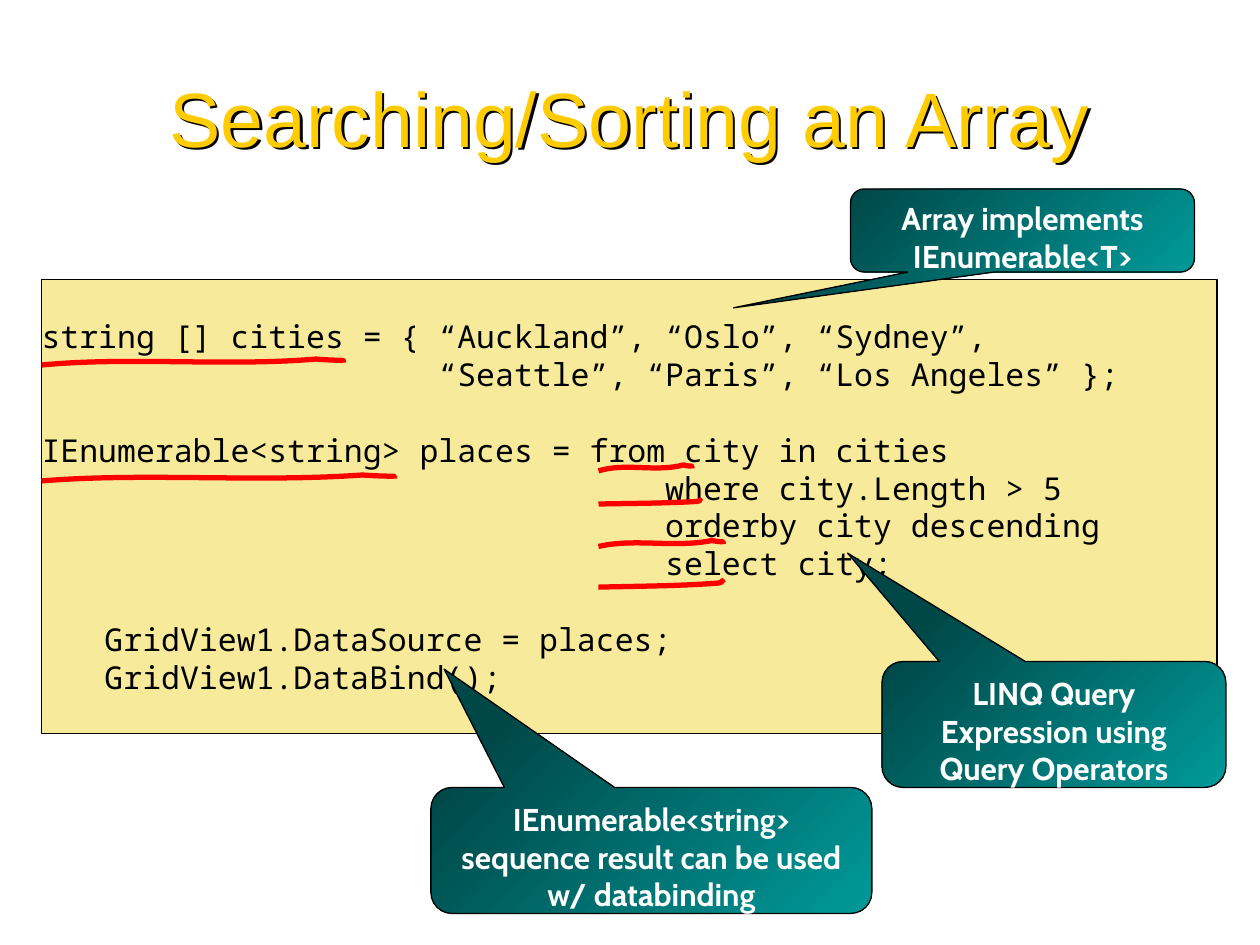
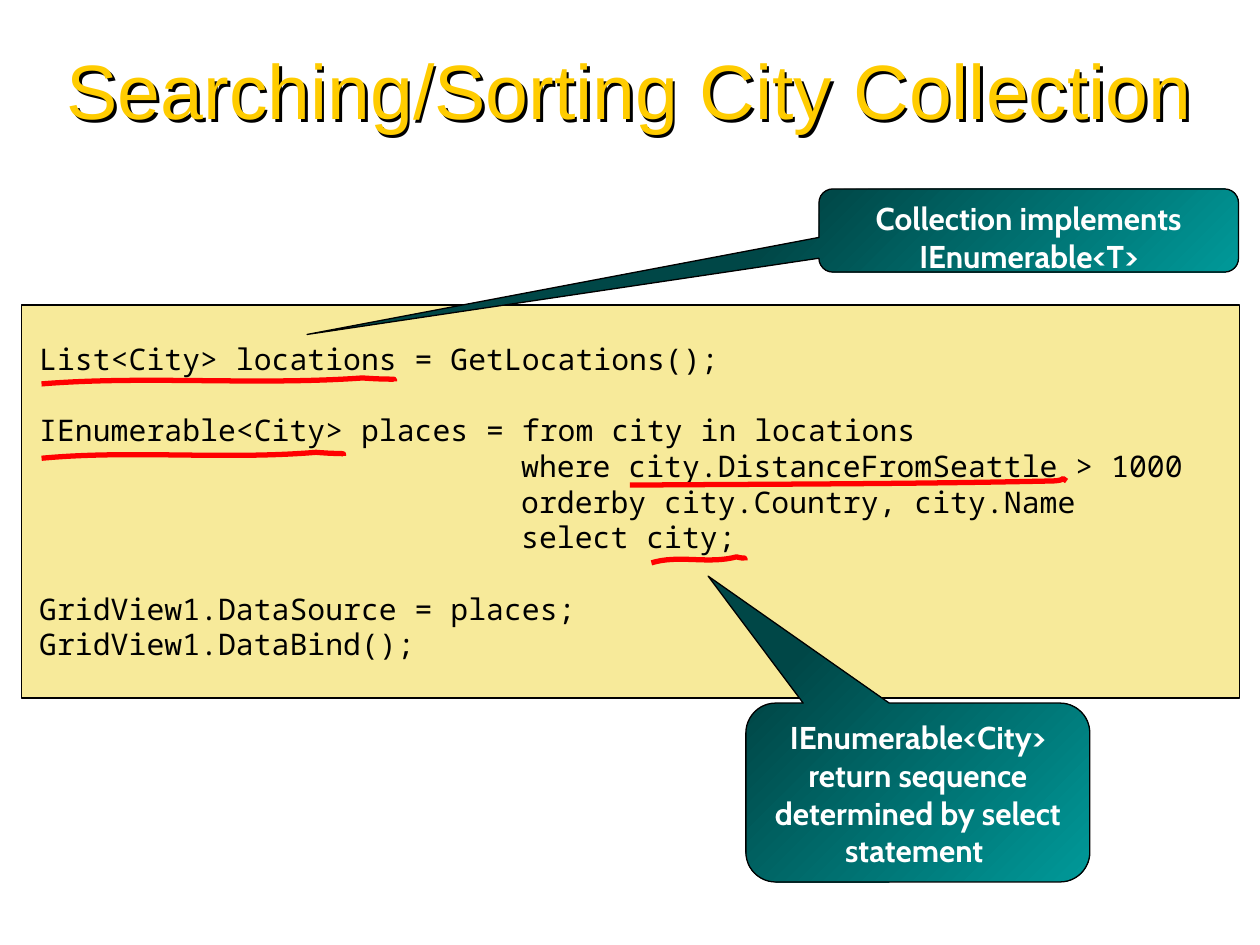
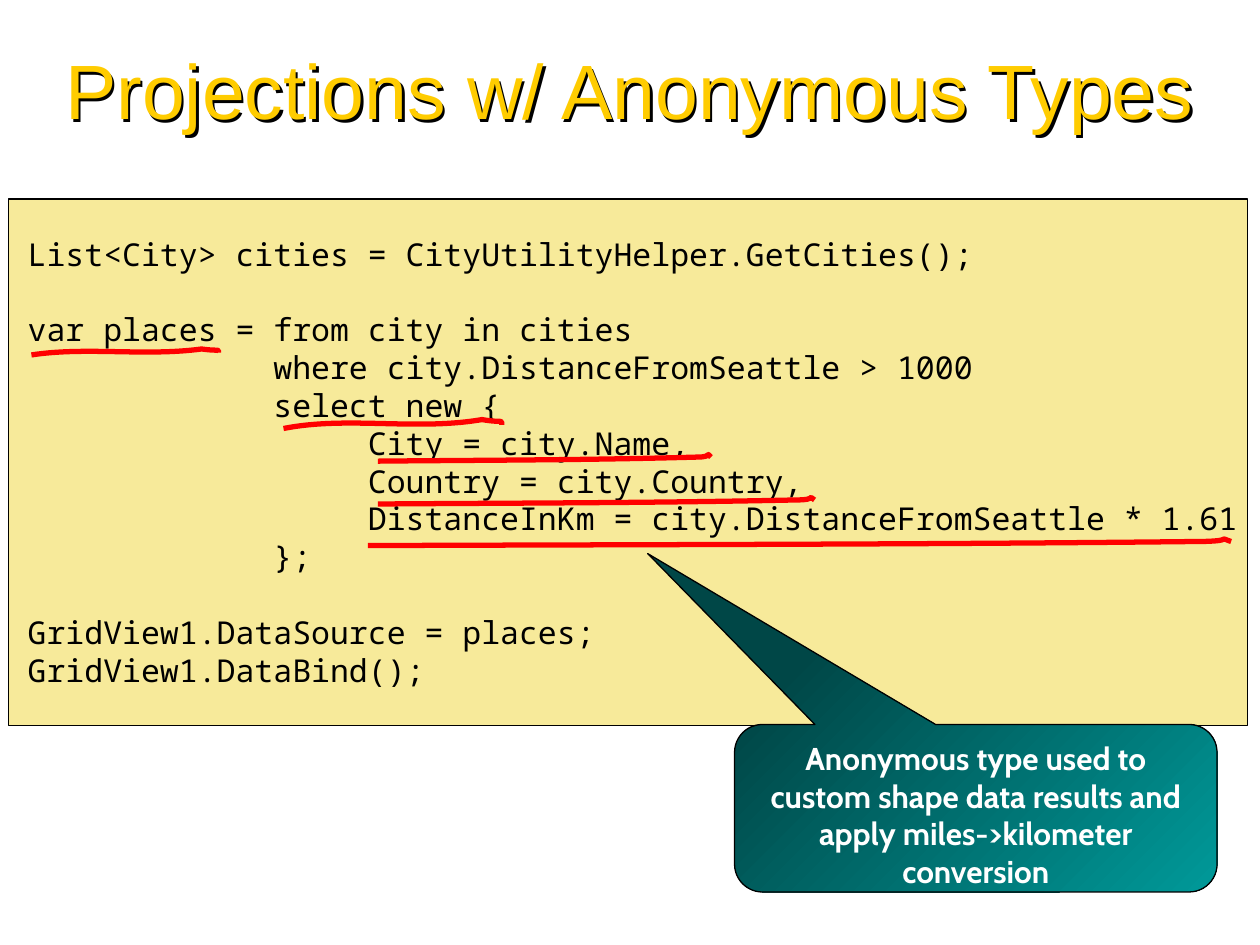
from lxml import etree
from pptx import Presentation
from pptx import util as u
from pptx.dml.color import RGBColor
from pptx.enum import shapes, text
from pptx.oxml import ns

GOLD = RGBColor(0xFF, 0xCC, 0x00)
CREAM = RGBColor(0xF7, 0xE9, 0x93)
DARK_TEAL = RGBColor(0x00, 0x47, 0x47)
TEAL = RGBColor(0x00, 0x99, 0x99)
RED = RGBColor(0xFF, 0x00, 0x00)
BLACK = RGBColor(0x00, 0x00, 0x00)
WHITE = RGBColor(0xFF, 0xFF, 0xFF)

TITLE_FONT, CODE_FONT, CALLOUT_FONT = "Arial", "Noto Sans Mono", "Cabin"
LINE_HEIGHT = 1.2
COLUMN_WIDTH = 0.6

WAVE = [(0, 0.84), (0.29, 0), (0.6, 1), (0.9, 0.25), (1, 0.5), (0.99, 0.2), (0.99, 0.6)]
FLAT = [(0, 1), (0.32, 0.9), (0.63, 0.9), (0.95, 0.6), (1, 0.6), (0.97, 0), (0.99, 0.6)]


def add_span(para, words, font, size, color, bold=False):
    span = para.add_run()
    span.text = words
    span.font.name = font
    span.font.size = u.Pt(size)
    span.font.color.rgb = color
    span.font.bold = bold


def outline(shape, color=BLACK, width=0.75):
    shape.shadow.inherit = False
    shape.line.color.rgb = color
    shape.line.width = u.Pt(width)


def add_text_shadow(box):
    box.fill.background()
    box.shadow.inherit = False
    effects = box._element.spPr.find(ns.qn("a:effectLst"))
    shadow = etree.SubElement(effects, ns.qn("a:outerShdw"), dist="25400", dir="2700000", algn="ctr")
    etree.SubElement(shadow, ns.qn("a:srgbClr"), val=str(BLACK))


def add_page(deck, title, left=0.25, top=0.08, width=9.5):
    page = deck.slides.add_slide(deck.slide_layouts[5])
    box = page.shapes.title
    box.left, box.top = u.Inches(left), u.Inches(top)
    box.width, box.height = u.Inches(width), u.Inches(1.25)
    add_text_shadow(box)
    frame = box.text_frame
    frame.auto_size = text.MSO_AUTO_SIZE.NONE
    frame.vertical_anchor = text.MSO_ANCHOR.MIDDLE
    para = frame.paragraphs[0]
    para.alignment = text.PP_ALIGN.CENTER
    add_span(para, title, TITLE_FONT, 44, GOLD)
    return page


def add_code(page, left, top, width, height, size, lines, lead=None):
    box = page.shapes.add_shape(shapes.MSO_SHAPE.RECTANGLE, *map(u.Inches, (left, top, width, height)))
    outline(box)
    box.fill.solid()
    box.fill.fore_color.rgb = CREAM
    color = box._element.spPr.find(".//" + ns.qn("a:srgbClr"))
    etree.SubElement(color, ns.qn("a:alpha"), val="93000")
    frame = box.text_frame
    frame.word_wrap = True
    frame.vertical_anchor = text.MSO_ANCHOR.TOP
    frame.margin_left = frame.margin_right = frame.margin_bottom = 0
    frame.margin_top = u.Pt((lead or size) * LINE_HEIGHT)
    pitch = u.Pt(size * LINE_HEIGHT)
    for number, (column, words, *gap) in enumerate(lines):
        para = frame.add_paragraph() if number else frame.paragraphs[0]
        para.alignment = text.PP_ALIGN.LEFT
        para.line_spacing = pitch
        para.space_before = pitch if gap else u.Pt(0)
        indent = u.Pt(column * COLUMN_WIDTH * size)
        para._p.get_or_add_pPr().set("marL", str(indent))
        add_span(para, words, CODE_FONT, size, BLACK)


def add_callout(page, left, top, width, height, tip, *paragraphs):
    box = page.shapes.add_shape(shapes.MSO_SHAPE.ROUNDED_RECTANGULAR_CALLOUT,
                                *map(u.Inches, (left, top, width, height)))
    box.adjustments[0], box.adjustments[1] = tip
    box.adjustments[2] = 0.167
    outline(box)
    box.fill.gradient()
    box.fill.gradient_angle = 315
    for stop, color in zip(box.fill.gradient_stops, (DARK_TEAL, TEAL)):
        stop.color.rgb = color
    frame = box.text_frame
    frame.word_wrap = True
    frame.vertical_anchor = text.MSO_ANCHOR.TOP
    for number, words in enumerate(paragraphs):
        para = frame.add_paragraph() if number else frame.paragraphs[0]
        para.alignment = text.PP_ALIGN.CENTER
        add_span(para, words, CALLOUT_FONT, 18, WHITE, bold=True)


def bend_segments(line):
    segments = list(line._element.iter(ns.qn("a:lnTo")))
    for first in range(0, len(segments), 3):
        curve = etree.Element(ns.qn("a:cubicBezTo"))
        segments[first].addprevious(curve)
        for segment in segments[first:first + 3]:
            curve.append(segment[0])
            segment.getparent().remove(segment)


def add_underline(page, stroke, left, top, width, height=0.08):
    points = [(u.Inches(left + x * width), u.Inches(top + y * height)) for x, y in stroke]
    builder = page.shapes.build_freeform(*points[0])
    builder.add_line_segments(points[1:], close=False)
    line = builder.convert_to_shape()
    bend_segments(line)
    line.fill.background()
    outline(line, RED, 3)


def add_array_page(deck):
    page = add_page(deck, "Searching/Sorting an Array", 0.5, 0.3, 9)
    add_code(page, 0.33, 2.22, 9.33, 3.6, 18, [
        (0, "string [] cities = { “Auckland”, “Oslo”, “Sydney”,"),
        (21, "“Seattle”, “Paris”, “Los Angeles” };"),
        (0, "IEnumerable<string> places = from city in cities", "gap"),
        (33, "where city.Length > 5"),
        (33, "orderby city descending"),
        (33, "select city;"),
        (3.33, "GridView1.DataSource = places;", "gap"),
        (3.33, "GridView1.DataBind();"),
    ])
    add_callout(page, 6.75, 1.5, 2.73, 0.66, (-0.84, 0.93), "Array implements IEnumerable<T>")
    add_underline(page, WAVE, 0.33, 2.83, 2.42)
    add_underline(page, WAVE, 4.75, 3.67, 0.75)
    add_underline(page, FLAT, 4.75, 3.95, 0.82, 0.05)
    add_underline(page, WAVE, 4.75, 4.27, 1)
    add_underline(page, FLAT, 4.75, 4.58, 1)
    add_callout(page, 7, 5.25, 2.73, 1, (-0.6, -1.36), "LINQ Query Expression using Query Operators")
    add_underline(page, WAVE, 0.33, 3.75, 2.83)
    add_callout(page, 3.42, 6.25, 3.5, 1, (-0.47, -1.44),
                "IEnumerable<string>", "sequence result can be used w/ databinding")


def add_collection_page(deck):
    page = add_page(deck, "Searching/Sorting City Collection")
    add_code(page, 0.17, 2.42, 9.67, 3.12, 17, [
        (1, "List<City> locations = GetLocations();"),
        (1, "IEnumerable<City> places = from city in locations", "gap"),
        (28, "where city.DistanceFromSeattle > 1000"),
        (28, "orderby city.Country, city.Name"),
        (28, "select city;"),
        (1, "GridView1.DataSource = places;", "gap"),
        (1, "GridView1.DataBind();"),
    ])
    add_underline(page, WAVE, 0.33, 2.98, 2.83)
    add_underline(page, FLAT, 5, 3.77, 3.5)
    add_underline(page, WAVE, 5.17, 4.4, 0.75)
    add_underline(page, WAVE, 0.33, 3.57, 2.42)
    add_callout(page, 6.5, 1.5, 3.33, 0.66, (-1.72, 1.25), "Collection implements IEnumerable<T>")
    add_callout(page, 5.92, 5.58, 2.73, 1.42, (-0.61, -1.21),
                "IEnumerable<City>", "return sequence determined by select statement ")


def add_projection_page(deck):
    page = add_page(deck, "Projections w/ Anonymous Types")
    add_code(page, 0.07, 1.58, 9.83, 4.18, 18, [
        (1, "List<City> cities = CityUtilityHelper.GetCities();"),
        (1, "var places = from city in cities", "gap"),
        (14, "where city.DistanceFromSeattle > 1000"),
        (14, "select new {"),
        (19, "City = city.Name,"),
        (19, "Country = city.Country,"),
        (19, "DistanceInKm = city.DistanceFromSeattle * 1.61"),
        (14, "};"),
        (1, "GridView1.DataSource = places;", "gap"),
        (1, "GridView1.DataBind();"),
    ], lead=17)
    add_underline(page, WAVE, 0.25, 2.75, 1.5)
    add_underline(page, FLAT, 3, 3.58, 2.67)
    add_underline(page, FLAT, 3, 3.92, 3.5)
    add_underline(page, WAVE, 2.25, 3.3, 1.75, 0.12)
    add_callout(page, 5.83, 5.75, 3.83, 1.33, (-0.68, -1.52),
                "Anonymous type used to custom shape data results and apply miles->kilometer conversion")
    add_underline(page, FLAT, 2.92, 4.25, 6.92)


def main():
    deck = Presentation()
    deck.slide_width, deck.slide_height = u.Inches(10), u.Inches(7.5)
    add_array_page(deck)
    add_collection_page(deck)
    add_projection_page(deck)
    deck.save("out.pptx")


if __name__ == "__main__":
    main()
